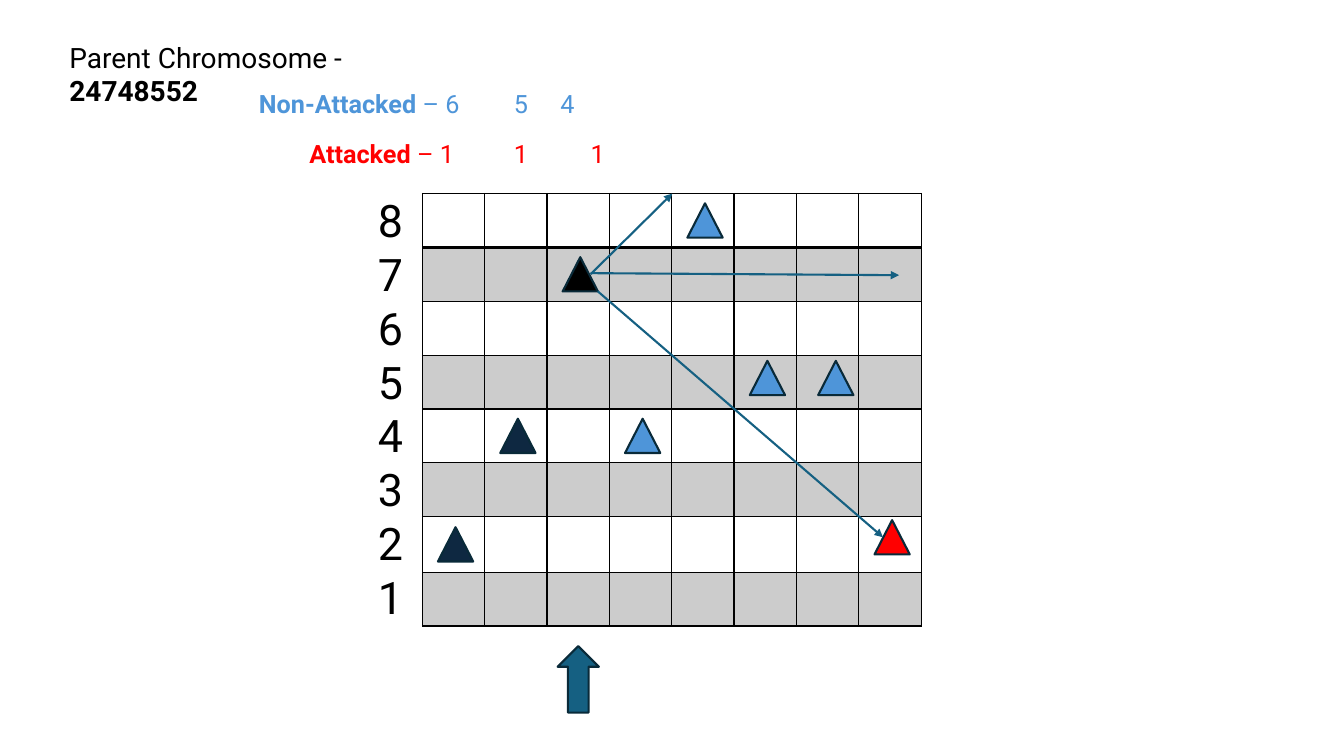
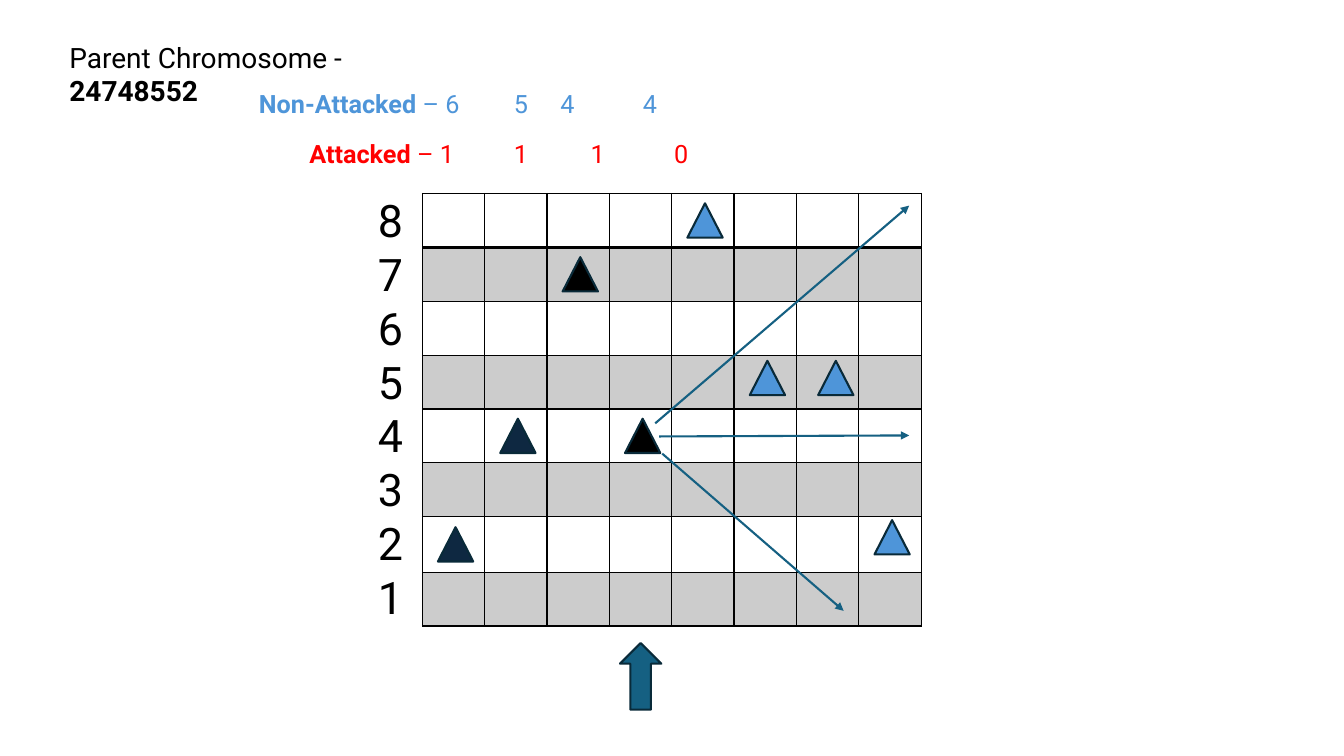
from lxml import etree
from pptx import Presentation
from pptx.dml.color import RGBColor
from pptx.enum.shapes import MSO_CONNECTOR, MSO_SHAPE
from pptx.oxml.ns import qn
from pptx.util import Emu, Inches, Pt

TRIANGLE, UP_ARROW = MSO_SHAPE.ISOSCELES_TRIANGLE, MSO_SHAPE.UP_ARROW
STRAIGHT = MSO_CONNECTOR.STRAIGHT

BLACK = RGBColor(0x00, 0x00, 0x00)
NAVY = RGBColor(0x0E, 0x28, 0x41)
BLUE = RGBColor(0x4E, 0x95, 0xD9)
RED = RGBColor(0xFF, 0x00, 0x00)
TEAL = RGBColor(0x15, 0x60, 0x82)
OUTLINE = RGBColor(0x09, 0x2A, 0x39)
FONT = "Roboto"
GRID_STYLE = "{5940675A-B579-460E-94D1-54222C63F5DA}"

# Each digit is the rank of the queen in that column.
CHROMOSOME = "24748552"
STEPS = [
    {"column": 2, "attacked": [7], "marker_top": 6.41,
     "free_counts": "654", "hit_counts": "111",
     "rays": [((5.86, 2.71), (8.92, 2.73)),
              ((5.86, 2.72), (6.67, 1.92)),
              ((5.93, 2.89), (8.76, 5.33))]},
    {"column": 3, "attacked": [], "marker_top": 6.38,
     "free_counts": "6544", "hit_counts": "1110",
     "rays": [((6.54, 4.33), (9.02, 4.32)),
              ((6.5, 4.2), (9.02, 2.04)),
              ((6.57, 4.5), (8.37, 6.06))]},
]

SIZE = 8
BOARD_LEFT, BOARD_TOP, BOARD_WIDTH, BOARD_HEIGHT = 4.19, 1.92, 4.95, 4.29
COLUMN_WIDTH = BOARD_WIDTH / SIZE
TALL_ROW, TALL_HEIGHT = 6, 0.55
ROW_HEIGHT = (BOARD_HEIGHT - TALL_HEIGHT) / (SIZE - 1)
ROW_HEIGHTS = [TALL_HEIGHT if row == TALL_ROW else ROW_HEIGHT for row in range(SIZE)]
QUEEN_WIDTH, QUEEN_HEIGHT = 0.35, 0.34
QUEEN_NUDGES = {5: (0, -0.04), 6: (0.06, -0.04), 7: (0, -0.07)}
MARKER_WIDTH, MARKER_HEIGHT = 0.41, 0.66


def column_centre(column):
    return BOARD_LEFT + (column + 0.5) * COLUMN_WIDTH


def row_centre(row):
    return BOARD_TOP + sum(ROW_HEIGHTS[:row]) + ROW_HEIGHTS[row] / 2


def add_text(slide, area, paragraphs, size, color):
    """Add a text box; each paragraph is a list of (text, bold) runs."""
    frame = slide.shapes.add_textbox(*map(Inches, area)).text_frame
    frame.word_wrap = True
    for index, runs in enumerate(paragraphs):
        para = frame.paragraphs[0] if index == 0 else frame.add_paragraph()
        for text, bold in runs:
            span = para.add_run()
            span.text = text
            span.font.name, span.font.size, span.font.bold = FONT, Pt(size), bold
            span.font.color.rgb = color
    return frame


def add_counts(slide, area, label, counts, stops, color):
    """Add a label and its counts, set out on tab stops."""
    runs = [(label, True), (" – " + "\t".join(counts), False)]
    frame = add_text(slide, area, [runs], 18, color)
    tabs = etree.SubElement(frame.paragraphs[0]._p.get_or_add_pPr(), qn("a:tabLst"))
    for stop in stops:
        etree.SubElement(tabs, qn("a:tab"), pos=str(Inches(stop)), algn="l")


def add_cell_border(cell, side, points):
    line = etree.SubElement(cell._tc.get_or_add_tcPr(), qn("a:ln" + side), w=str(Pt(points)))
    fill = etree.SubElement(line, qn("a:solidFill"))
    etree.SubElement(fill, qn("a:srgbClr"), val=str(BLACK))


def add_board(slide):
    area = map(Inches, (BOARD_LEFT, BOARD_TOP, BOARD_WIDTH, BOARD_HEIGHT))
    table = slide.shapes.add_table(SIZE, SIZE, *area).table
    table.first_row = table.horz_banding = False
    table._tbl.tblPr.find(qn("a:tableStyleId")).text = GRID_STYLE
    for column in table.columns:
        column.width = Inches(COLUMN_WIDTH)
    for index, row in enumerate(table.rows):
        row.height = Inches(ROW_HEIGHTS[index])
        for cell in row.cells:
            for side in "LRTB":
                add_cell_border(cell, side, 2 if index == 0 and side == "B" else 1)
            if index % 2:
                cell.fill.solid()
                cell.fill.fore_color.rgb = BLACK
                color = cell._tc.tcPr.find(qn("a:solidFill"))[0]
                etree.SubElement(color, qn("a:alpha"), val="20000")
            else:
                cell.fill.background()
    ranks = [[(str(rank), False)] for rank in range(SIZE, 0, -1)]
    labels = add_text(slide, (3.65, 1.86, 0.44, 4.41), ranks, 32, BLACK)
    for para in labels.paragraphs:
        para.line_spacing = Pt(38.5)


def add_figure(slide, kind, area, color):
    shape = slide.shapes.add_shape(kind, *map(Inches, area))
    shape.shadow.inherit = False
    shape.fill.solid()
    shape.fill.fore_color.rgb = color
    shape.line.color.rgb = OUTLINE
    shape.line.width = Pt(1.5)


def queen_color(column, step):
    if column < 2:
        return NAVY
    if column <= step["column"]:
        return BLACK
    return RED if column in step["attacked"] else BLUE


def add_queens(slide, step):
    for column, rank in enumerate(CHROMOSOME):
        right, down = QUEEN_NUDGES.get(column, (0, 0))
        left = column_centre(column) + 0.02 + right - QUEEN_WIDTH / 2
        top = row_centre(SIZE - int(rank)) + down - QUEEN_HEIGHT / 2
        add_figure(slide, TRIANGLE, (left, top, QUEEN_WIDTH, QUEEN_HEIGHT),
                   queen_color(column, step))


def add_ray(slide, start, end):
    ray = slide.shapes.add_connector(STRAIGHT, *map(Inches, start + end))
    ray.line.color.rgb = TEAL
    ray.line.width = Pt(1.5)
    etree.SubElement(ray.line._get_or_add_ln(), qn("a:tailEnd"), type="triangle")
    etree.SubElement(ray._element.spPr, qn("a:effectLst"))


def build_step(deck, step):
    slide = deck.slides.add_slide(deck.slide_layouts[6])
    title = [("Parent Chromosome - ", False), (CHROMOSOME, True)]
    add_text(slide, (0.59, 0.35, 4, 0.44), [title], 20, BLACK)
    add_board(slide)
    add_queens(slide, step)
    marker_left = column_centre(step["column"]) - MARKER_WIDTH / 2
    add_figure(slide, UP_ARROW,
               (marker_left, step["marker_top"], MARKER_WIDTH, MARKER_HEIGHT), TEAL)
    add_counts(slide, (2.97, 1.32, 4.98, 0.4), "Attacked",
               step["hit_counts"], (2.03, 2.79, 3.62), RED)
    add_counts(slide, (2.47, 0.83, 5.48, 0.4), "Non-Attacked",
               step["free_counts"], (2.53, 2.99, 3.81), BLUE)
    for start, end in step["rays"]:
        add_ray(slide, start, end)


def main():
    deck = Presentation()
    deck.slide_width, deck.slide_height = Emu(12192000), Inches(7.5)
    for step in STEPS:
        build_step(deck, step)
    deck.save("out.pptx")


if __name__ == "__main__":
    main()
